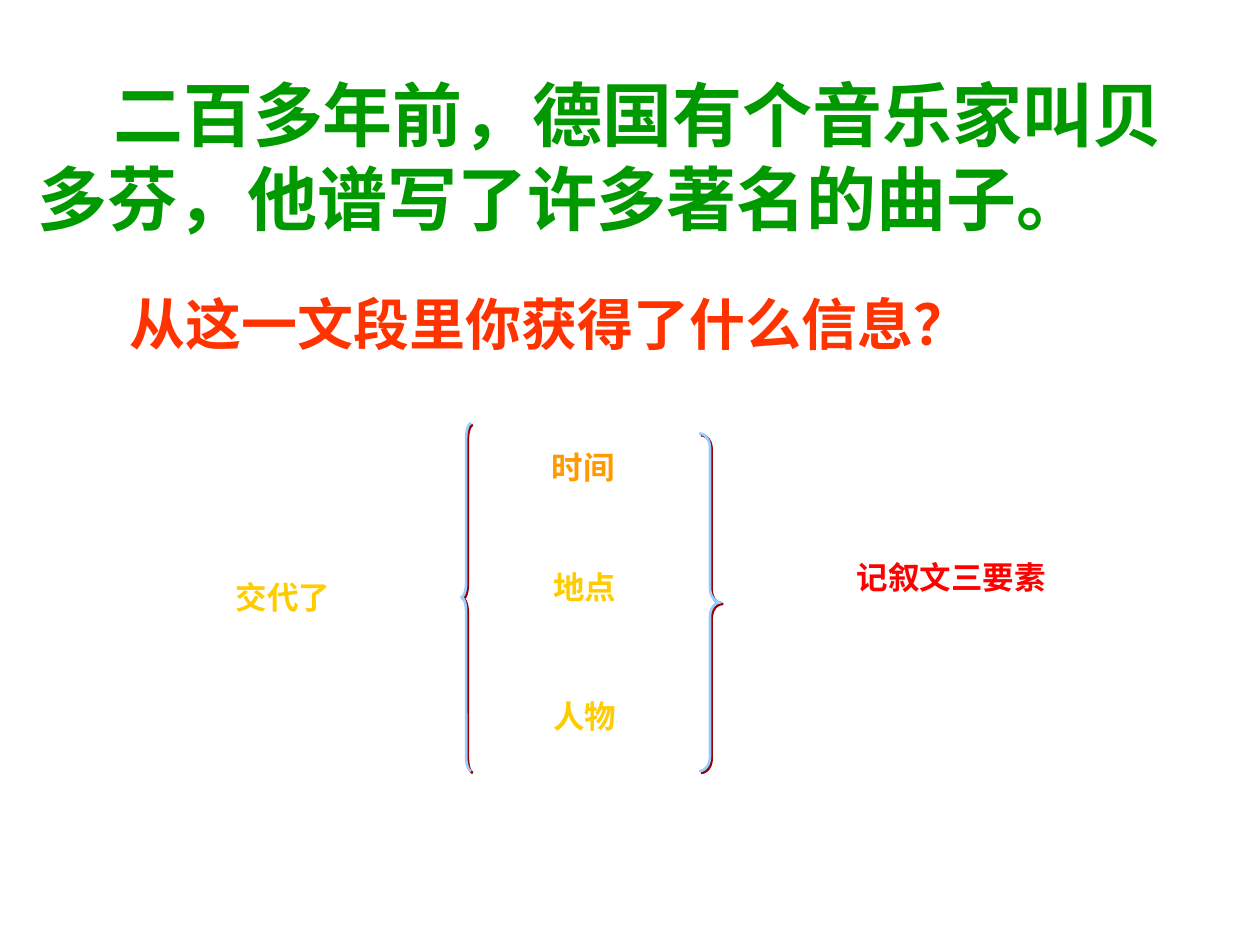
from collections import namedtuple

from lxml.etree import SubElement
from pptx import Presentation
from pptx.dml.color import RGBColor
from pptx.enum.shapes import MSO_SHAPE
from pptx.enum.text import MSO_ANCHOR, PP_ALIGN
from pptx.oxml import parse_xml
from pptx.oxml.ns import nsdecls, qn
from pptx.util import Inches, Pt

COLUMNS, ROWS = 100, 75
CELL = Inches(0.1)
CJK_FONT = "Noto Sans CJK SC"
LATIN_FONT = "Times New Roman"
COLORS = {
    "background": "FFFFFF",
    "passage": "009900",
    "question": "FF3300",
    "gold": "FFCC00",
    "orange": "FF9900",
    "red": "FF0000",
    "magenta": "FF00FF",
    "brace": "99CCFF",
    "brace_shadow": "990000",
}

# Left, top, width and height, in grid columns and rows
Box = namedtuple("Box", "left top width height")


def color(name):
    return RGBColor.from_string(COLORS[name])


def place(box):
    return [round(value * CELL) for value in box]


def add_text(slide, box, text, size, color_name, font_name, wrap):
    """Add a text box with one bold run; return its paragraph and run."""
    frame = slide.shapes.add_textbox(*place(box)).text_frame
    frame.word_wrap = wrap
    frame.vertical_anchor = MSO_ANCHOR.TOP
    paragraph = frame.paragraphs[0]
    run = paragraph.add_run()
    run.text = text
    run.font.size = Pt(size)
    run.font.bold = True
    run.font.name = font_name
    run.font.color.rgb = color(color_name)
    SubElement(run.font._element, qn("a:ea"), typeface=CJK_FONT)
    return paragraph, run


def add_indented_text(slide, box, text, size, color_name):
    paragraph, _ = add_text(slide, box, text, size, color_name, LATIN_FONT, True)
    paragraph._p.get_or_add_pPr().set("indent", str(6 * CELL))


def add_label(slide, box, text, fill, outline, outline_width=0.75):
    """Add a centred label whose letters have a coloured outline."""
    paragraph, run = add_text(slide, box, text, 18, fill, CJK_FONT, False)
    paragraph.alignment = PP_ALIGN.CENTER
    run.font._element.insert(0, parse_xml(
        f'<a:ln {nsdecls("a")} w="{Pt(outline_width)}"><a:solidFill>'
        f'<a:srgbClr val="{COLORS[outline]}"/></a:solidFill></a:ln>'))


def add_brace(slide, box, preset):
    brace = slide.shapes.add_shape(preset, *place(box))
    brace.adjustments[0] = box.height / (24 * box.width)
    brace.fill.background()
    brace.line.color.rgb = color("brace")
    brace.line.width = Pt(1.5)
    brace._element.spPr.append(parse_xml(
        f'<a:effectLst {nsdecls("a")}>'
        f'<a:outerShdw dist="{Pt(1.4)}" dir="2700000" algn="ctr" rotWithShape="0">'
        f'<a:srgbClr val="{COLORS["brace_shadow"]}"/></a:outerShdw></a:effectLst>'))


def add_elements_diagram(slide, box):
    """Lead-in, braced list of elements and conclusion, from left to right."""
    def inside(left, top, width, height):
        return Box(box.left + left, box.top + top, width, height)

    add_label(slide, inside(0, 11.8, 20.5, 4.7), "交代了", "gold", "red", 1.5)
    add_brace(slide, inside(24.4, 0, 0.8, 27.6), MSO_SHAPE.LEFT_BRACE)
    elements = [("时间", "orange", 1.5, 10), ("地点", "gold", 11, 10.2),
                ("人物", "gold", 21.2, 10.2)]
    for text, fill, top, width in elements:
        add_label(slide, inside(29.1, top, width, 5), text, fill, "magenta")
    add_brace(slide, inside(43.3, 0.8, 1.7, 26.8), MSO_SHAPE.RIGHT_BRACE)
    add_label(slide, inside(48, 10.2, 30.6, 7.1), "记叙文三要素", "red", "gold")


def main():
    presentation = Presentation()
    presentation.slide_width = COLUMNS * CELL
    presentation.slide_height = ROWS * CELL
    slide = presentation.slides.add_slide(presentation.slide_layouts[6])
    slide.background.fill.solid()
    slide.background.fill.fore_color.rgb = color("background")
    add_indented_text(slide, Box(3.3, 22.5, 96.7, 6.4),
                      "从这一文段里你获得了什么信息？", 32, "question")
    add_indented_text(slide, Box(2, 5.2, 96.7, 14.4),
                      "二百多年前，德国有个音乐家叫贝多芬，他谱写了许多著名的曲子。",
                      40, "passage")
    add_elements_diagram(slide, Box(12.2, 33.6, 78.6, 27.6))
    presentation.save("out.pptx")


if __name__ == "__main__":
    main()
